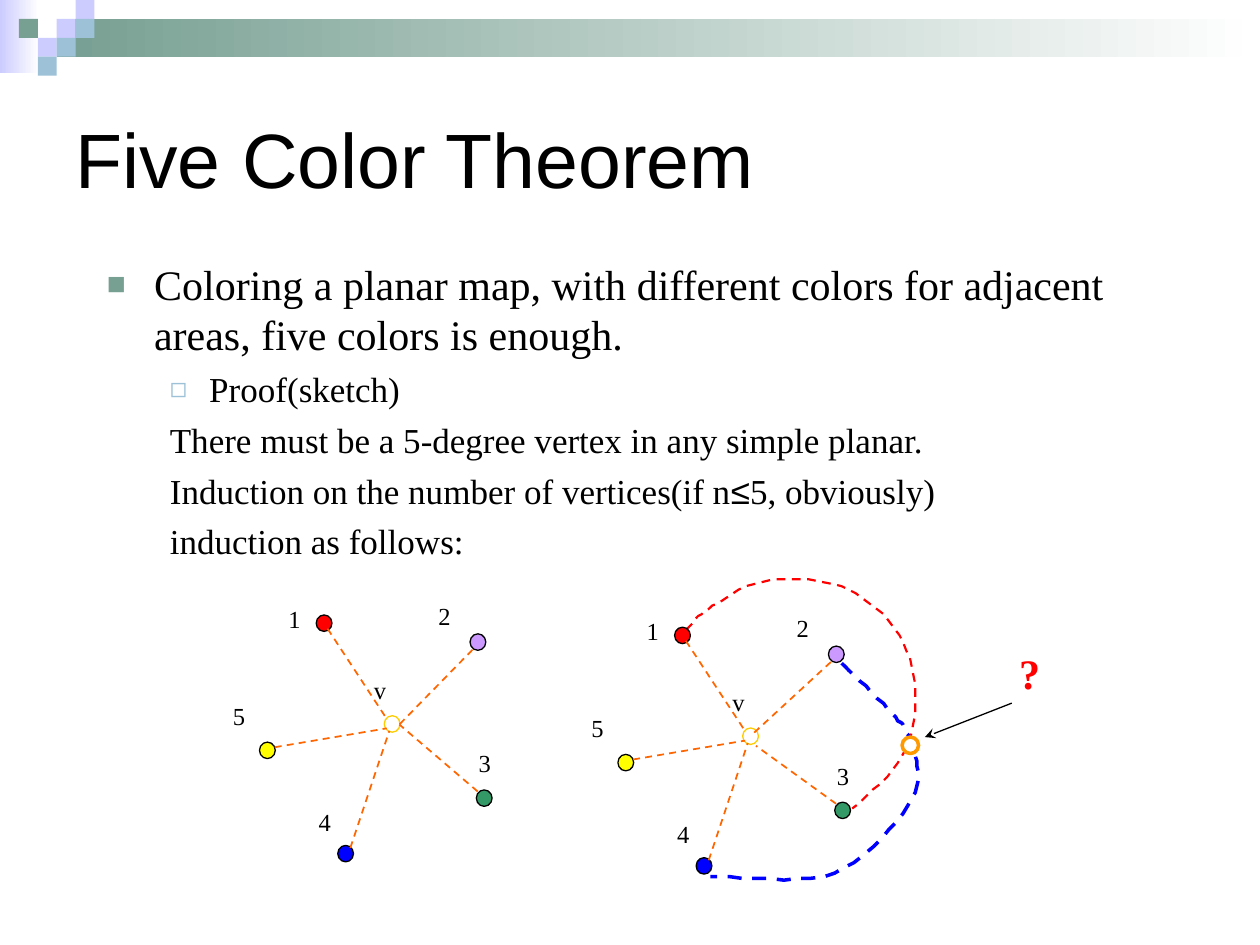
from lxml import etree
from pptx import Presentation
from pptx.dml.color import RGBColor
from pptx.enum.dml import MSO_LINE
from pptx.enum.shapes import MSO_CONNECTOR, MSO_SHAPE
from pptx.enum.text import MSO_ANCHOR, PP_ALIGN
from pptx.oxml.ns import qn
from pptx.util import Pt

RECT, OVAL = MSO_SHAPE.RECTANGLE, MSO_SHAPE.OVAL
STRAIGHT = MSO_CONNECTOR.STRAIGHT
DASH = MSO_LINE.DASH
MIDDLE, TOP = MSO_ANCHOR.MIDDLE, MSO_ANCHOR.TOP
LEFT, JUSTIFY = PP_ALIGN.LEFT, PP_ALIGN.JUSTIFY
SERIF, SANS = "Times New Roman", "Arial"

COLORS = {
    "white": "FFFFFF", "black": "000000", "lavender": "CCCCFF",
    "sage": "779F92", "sky": "9DC2D7", "red": "FF0000", "blue": "0000FF",
    "purple": "CC99FF", "green": "339966", "yellow": "FFFF00",
    "gold": "FFCC00", "amber": "FF9900", "orange": "FF6600",
}

BODY = [
    (["Coloring a planar map, with different colors for adjacent areas, "
      "five colors is enough."], 24, 6, 27, -27, ("■", "sage", 75)),
    (["Proof(sketch)"], 20, 5, 58.5, -22.5, ("◻", "sky", 80)),
    (["There must be a 5-degree vertex in any simple planar."], 20, 5, 58.5, -22.5, None),
    (["Induction on the number of vertices(if n", "≤", "5, obviously)"],
     20, 5, 58.5, -22.5, None),
    (["induction as follows:"], 20, 5, 58.5, -22.5, None),
]

VERTICES = [
    ("1", "red", (54.7, 11.4), (31.7, 1.4), (61.2, 19.3)),
    ("2", "purple", (142.6, 22.2), (117.4, 0), (144, 31.3)),
    ("3", "green", (146.2, 111.4), (140.4, 84.1), (147, 112.3)),
    ("4", "blue", (67, 143.1), (49, 117.4), (74.2, 144.6)),
    ("5", "yellow", (22.3, 84.1), (0, 56.9), (31, 87)),
]
HUB_ENDS = {"1": (94.3, 69.7), "2": (102.2, 74), "3": (102.2, 74),
            "4": (96.5, 77.6), "5": (95, 76.2)}

RED_ARC = [(5.45, 5), (5.48, 4.95), (5.52, 4.9), (5.62, 4.83),
           (5.73, 4.77), (5.89, 4.63), (6.08, 4.61),
           (6.26, 4.58), (6.56, 4.59), (6.74, 4.68),
           (6.93, 4.77), (7.12, 4.96), (7.2, 5.16),
           (7.28, 5.36), (7.3, 5.66), (7.22, 5.87),
           (7.15, 6.08), (6.96, 6.26), (6.76, 6.42)]
BLUE_ARC = [(6.68, 5.27), (6.74, 5.33), (6.99, 5.56), (7.08, 5.66),
            (7.17, 5.77), (7.2, 5.78), (7.23, 5.89),
            (7.25, 6), (7.34, 6.16), (7.24, 6.34),
            (7.14, 6.51), (6.89, 6.82), (6.62, 6.93),
            (6.36, 7.03), (5.84, 6.95), (5.64, 6.96)]


def color(name):
    return RGBColor.from_string(COLORS[name])


def add_block(page, kind, box, fill, outline=None, weight=0.75):
    shape = page.shapes.add_shape(kind, *map(Pt, box))
    shape.shadow.inherit = False
    shape.fill.solid()
    shape.fill.fore_color.rgb = color(fill)
    if outline:
        shape.line.color.rgb = color(outline)
        shape.line.width = Pt(weight)
    else:
        shape.line.fill.background()
    return shape


def add_fade(page, box, name):
    shape = add_block(page, RECT, box, name)
    shape.fill.gradient()
    shape.fill.gradient_angle = 0
    for stop, shade in zip(shape.fill.gradient_stops, (name, "white")):
        stop.color.rgb = color(shade)


def add_frame(page, box, anchor=TOP):
    frame = page.shapes.add_textbox(*map(Pt, box)).text_frame
    frame.word_wrap = True
    frame.vertical_anchor = anchor
    return frame


def style(para, size, face=SERIF, name="black", bold=False, align=LEFT):
    para.alignment = align
    para.font.size = Pt(size)
    para.font.name = face
    para.font.color.rgb = color(name)
    para.font.bold = bold


def add_label(page, text, box, size, align=LEFT, **look):
    para = add_frame(page, box, look.pop("anchor", TOP)).paragraphs[0]
    para.text = text
    style(para, size, align=align, **look)


def add_line(page, start, end, name, weight, dashed=True):
    line = page.shapes.add_connector(STRAIGHT, *map(Pt, start + end))
    line.line.color.rgb = color(name)
    line.line.width = Pt(weight)
    if dashed:
        line.line.dash_style = DASH
    etree.SubElement(line._element.spPr, qn("a:effectLst"))
    return line


def set_bullet(para, mark, name, percent):
    props = para._p.get_or_add_pPr()
    tint = etree.SubElement(props, qn("a:buClr"))
    etree.SubElement(tint, qn("a:srgbClr"), val=COLORS[name])
    etree.SubElement(props, qn("a:buSzPct"), val=str(percent * 1000))
    etree.SubElement(props, qn("a:buFont"), typeface=SANS)
    etree.SubElement(props, qn("a:buChar"), char=mark)


def add_banner(page, left, top, width):
    cell = 10.8
    add_fade(page, (left, top, 22.3, 41.8), "lavender")
    add_fade(page, (left + 32.4, top + cell, width - 32.4, 21.6), "sage")
    tiles = [(3, 1, "lavender"), (4, 0, "lavender"), (4, 1, "sky"),
             (2, 2, "lavender"), (1, 1, "sage"), (3, 2, "sky"), (2, 3, "sky")]
    for column, row, name in tiles:
        box = (left + column * cell, top + row * cell, cell, cell)
        add_block(page, RECT, box, name)


def add_body(page, box):
    frame = add_frame(page, box)
    for index, (pieces, size, gap, margin, indent, bullet) in enumerate(BODY):
        para = frame.add_paragraph() if index else frame.paragraphs[0]
        para.space_before = Pt(gap)
        props = para._p.get_or_add_pPr()
        props.set("marL", str(Pt(margin)))
        props.set("indent", str(Pt(indent)))
        if bullet:
            set_bullet(para, *bullet)
        style(para, size)
        for piece in pieces:
            span = para.add_run()
            span.text = piece
            if piece == "≤":
                span.font.name = SANS


def add_star(page, left, top, hub_ends):
    def at(point):
        return left + point[0], top + point[1]

    add_block(page, OVAL, at((93.6, 69)) + (9, 9.4), "white", "gold")
    for number, name, dot, label, edge in VERTICES:
        add_block(page, OVAL, at(dot) + (9, 9.4), name, "black")
    for number, name, dot, label, edge in VERTICES:
        add_line(page, at(edge), at(hub_ends[number]), "orange", 1)
        add_label(page, number, at(label) + (67, 52), 14, JUSTIFY)
    add_label(page, "v", at((80.6, 42.3)) + (67, 52), 14, JUSTIFY)


def add_arc(page, knots, name, weight, steps=10):
    knots = [(x * 72, y * 72) for x, y in knots]
    points = []
    for first in range(0, len(knots) - 1, 3):
        curve = list(zip(*knots[first:first + 4]))
        for step in range(1, steps + 1):
            t = step / steps
            weights = ((1 - t) ** 3, 3 * t * (1 - t) ** 2, 3 * t * t * (1 - t), t ** 3)
            points.append(tuple(sum(w * v for w, v in zip(weights, axis)) for axis in curve))
    builder = page.shapes.build_freeform(*knots[0], scale=Pt(1))
    builder.add_line_segments(points, close=False)
    arc = builder.convert_to_shape()
    arc.shadow.inherit = False
    arc.fill.background()
    arc.line.color.rgb = color(name)
    arc.line.width = Pt(weight)
    arc.line.dash_style = DASH


def add_crossing(page):
    add_arc(page, RED_ARC, "red", 1.25)
    add_arc(page, BLUE_ARC, "blue", 2)
    add_block(page, OVAL, (515.5, 421.2, 9.4, 9.4), "white", "amber", 2)
    arrow = add_line(page, (578.2, 401.8), (528.5, 421.2), "black", 0.75, dashed=False)
    etree.SubElement(arrow.line._get_or_add_ln(), qn("a:tailEnd"), type="stealth")
    add_label(page, "?", (575.3, 366.5, 72.7, 70.6), 24, JUSTIFY, name="red", bold=True)


def main():
    deck = Presentation()
    deck.slide_width, deck.slide_height = Pt(720), Pt(540)
    page = deck.slides.add_slide(deck.slide_layouts[6])
    add_banner(page, 0, 0, 720)
    add_label(page, "Five Color Theorem", (36, 36, 648, 108), 44, face=SANS, anchor=MIDDLE)
    add_body(page, (54, 144, 612, 349.2))
    add_crossing(page)
    add_star(page, 126, 340, HUB_ENDS)
    add_star(page, 330.8, 347, {**HUB_ENDS, "2": (99.8, 72), "3": (101.2, 79.2)})
    deck.save("out.pptx")


if __name__ == "__main__":
    main()
